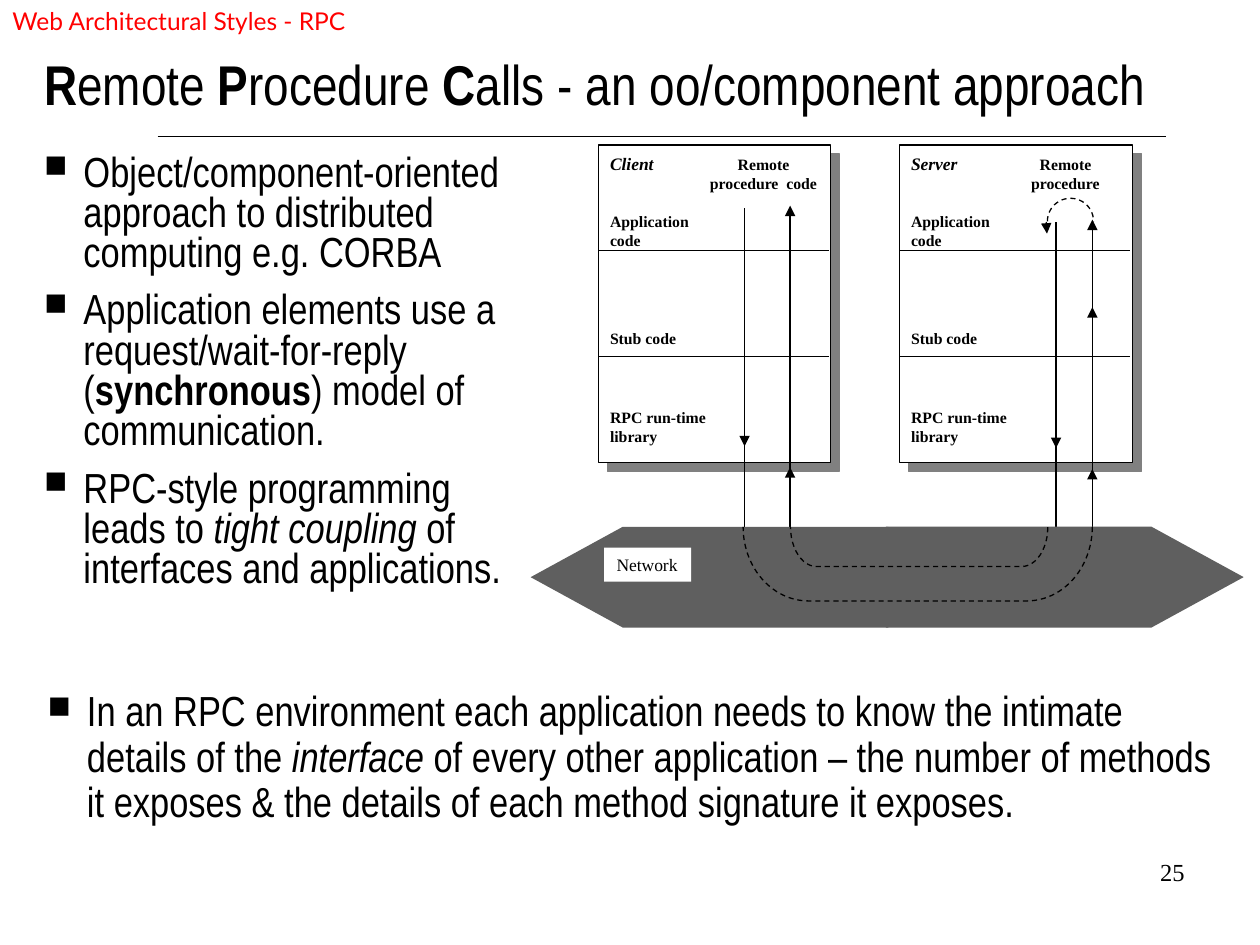
"""Build the slide on remote procedure calls between a client and a server."""
from dataclasses import dataclass

from lxml import etree
from pptx import Presentation, util as u
from pptx.dml import color
from pptx.enum import dml, shapes, text
from pptx.oxml import ns


@dataclass(frozen=True)
class Theme:
    black: str = "000000"
    white: str = "FFFFFF"
    red: str = "FF0000"
    network: str = "5F5F5F"
    shadow: str = "808080"
    sans: str = "Arial Narrow"
    serif: str = "Times New Roman"
    header: str = "Lato"
    title_size: float = 32
    body_size: float = 24
    small_size: float = 14
    name_size: float = 10
    label_size: float = 9
    line_width: float = 0.75


def add_xml(parent, tag, **values):
    return etree.SubElement(parent, ns.qn(tag), values)


class SlideBuilder:
    def __init__(self, slide, theme):
        self.slide = slide
        self.theme = theme

    def style(self, name, size, **values):
        return {"name": name, "size": u.Pt(size), **values}

    def outline(self, line, dashed=False):
        line.color.rgb = color.RGBColor.from_string(self.theme.black)
        line.width = u.Pt(self.theme.line_width)
        if dashed:
            line.dash_style = dml.MSO_LINE.DASH

    def fill_text(self, shape, paragraphs, style, ink=None, align=text.PP_ALIGN.LEFT,
                  wrap=True, inset=True, bullet=False, spacing=None):
        frame = shape.text_frame
        frame.word_wrap = wrap
        frame.vertical_anchor = text.MSO_ANCHOR.TOP
        if not inset:
            for side in ("left", "top", "right", "bottom"):
                setattr(frame, f"margin_{side}", 0)
        for index, runs in enumerate(paragraphs):
            paragraph = frame.add_paragraph() if index else frame.paragraphs[0]
            paragraph.alignment = align
            if spacing:
                paragraph.line_spacing = spacing
            if bullet:
                if index:
                    paragraph.space_before = u.Pt(9.6)
                properties = paragraph._p.get_or_add_pPr()
                properties.set("marL", str(u.Pt(22.5)))
                properties.set("indent", str(u.Pt(-22.5)))
                add_xml(properties, "a:buSzPct", val="75000")
                add_xml(properties, "a:buChar", char="■")
            for words, changes in [(runs, {})] if isinstance(runs, str) else runs:
                for row, part in enumerate(words.split("\n")):
                    if row:
                        paragraph.add_line_break()
                    if not part:
                        continue
                    run = paragraph.add_run()
                    run.text = part
                    for key, value in {**style, **changes}.items():
                        setattr(run.font, key, value)
                    run.font.color.rgb = color.RGBColor.from_string(ink or self.theme.black)

    def text_box(self, box, paragraphs, style, **options):
        shape = self.slide.shapes.add_textbox(*map(u.Pt, box))
        self.fill_text(shape, paragraphs, style, **options)

    def shape(self, kind, box, fill=None, outlined=False, dashed=False,
              rotation=0, adjustments=(), shadow=False):
        shape = self.slide.shapes.add_shape(kind, *map(u.Pt, box))
        shape.shadow.inherit = False
        shape.rotation = rotation
        for index, value in enumerate(adjustments):
            shape.adjustments[index] = value
        if fill:
            shape.fill.solid()
            shape.fill.fore_color.rgb = color.RGBColor.from_string(fill)
        else:
            shape.fill.background()
        if outlined:
            self.outline(shape.line, dashed)
        else:
            shape.line.fill.background()
        if shadow:
            effects = shape._element.spPr.find(ns.qn("a:effectLst"))
            outer = add_xml(effects, "a:outerShdw", dist=str(u.Pt(7.1)), dir="2700000",
                            algn="ctr", rotWithShape="0")
            add_xml(outer, "a:srgbClr", val=self.theme.shadow)
        return shape

    def line(self, x1, y1, x2, y2, arrow=False):
        connector = self.slide.shapes.add_connector(
            shapes.MSO_CONNECTOR.STRAIGHT, *map(u.Pt, (x1, y1, x2, y2)))
        self.outline(connector.line)
        if arrow:
            add_xml(connector.line._get_or_add_ln(), "a:tailEnd", type="triangle")
        add_xml(connector._element.spPr, "a:effectLst")

    def machine(self, left, width, name, caption, caption_left, caption_width):
        theme = self.theme
        top, layer = 82.8, 60.5
        label = self.style(theme.serif, theme.label_size, bold=True)
        self.shape(shapes.MSO_SHAPE.RECTANGLE, (left, top, width, 3 * layer),
                   theme.white, outlined=True, shadow=True)
        for row in (1, 2):
            y = top + row * layer
            self.line(left, y, left + 132, y)
        self.text_box((left - 0.5, 84.2, 57, 19.4), [name],
                      self.style(theme.serif, theme.name_size, bold=True, italic=True))
        for y, width, height, words in (
            (117.4, 62, 28.8, ["Application", "code"]),
            (184.3, 60, 18, ["Stub code"]),
            (229.7, 74, 28.8, ["RPC run-time", "library"]),
        ):
            self.text_box((left - 0.5, y, width, height), words, label, wrap=False)
        self.text_box((caption_left, 85, caption_width, 28.8), ["Remote", caption],
                      label, align=text.PP_ALIGN.CENTER, wrap=False)


def main():
    presentation = Presentation()
    presentation.slide_width, presentation.slide_height = u.Pt(720), u.Pt(540)
    theme = Theme()
    builder = SlideBuilder(presentation.slides.add_slide(presentation.slide_layouts[6]), theme)
    kinds = shapes.MSO_SHAPE
    bold, italic = {"bold": True}, {"italic": True}
    body = builder.style(theme.sans, theme.body_size)

    builder.line(90, 78, 666, 78)
    builder.text_box((534, 486, 150, 36), ["25"],
                     builder.style(theme.serif, theme.small_size), align=text.PP_ALIGN.RIGHT)
    builder.text_box((25.2, 28, 660, 54), [[
        ("R", bold), ("emote ", {}), ("P", bold), ("rocedure ", {}), ("C", bold),
        ("alls - an oo/component approach", {}),
    ]], builder.style(theme.sans, theme.title_size), inset=False)
    builder.text_box((25.2, 88.5, 312, 300), [
        "Object/component-oriented approach to distributed computing e.g. CORBA",
        [("Application elements use a request/wait-for-reply (", {}),
         ("synchronous", bold), (") model of communication.", {})],
        [("RPC-style programming\nleads to ", {}), ("tight coupling", italic),
         (" of \ninterfaces and applications.", {})],
    ], body, inset=False, bullet=True, spacing=0.8)

    builder.machine(342, 132.5, "Client", "procedure  code", 398, 76.5)
    builder.machine(514, 133.2, "Server", "procedure", 581.8, 54)

    client_down, client_up, server_down, server_up = 425.5, 451.5, 603.5, 624.2
    for x, start, end, arrow in (
        (client_down, 119, 255, True),
        (client_down, 245, 307, False),
        (server_down, 127, 256, True),
        (server_down, 246, 307, False),
        (client_up, 306, 170, False),
        (client_up, 180, 117.5, True),
        (server_up, 305, 175.5, True),
        (server_up, 185, 125.5, True),
    ):
        builder.line(x, start, x, end, arrow)

    for left, rotation in ((506.2, 0), (303.2, 180)):
        builder.shape(kinds.PENTAGON, (left, 301, 204.5, 57.6), theme.network,
                      rotation=rotation, adjustments=[0.914])
    for box, bend in (((514, 239, 22.5, 147), 0.665), ((503.3, 222.5, 42.3, 199.5), 0.884)):
        builder.shape(kinds.LEFT_BRACKET, box, outlined=True, dashed=True,
                      rotation=270, adjustments=[bend])
    for x, start, end in ((client_up, 288, 267), (server_up, 289.5, 268)):
        builder.line(x, start, x, end, arrow=True)

    builder.shape(kinds.ARC, (598.5, 113.3, 26.4, 26.4), outlined=True, dashed=True,
                  adjustments=[108, 0])
    builder.line(597.8, 127, 598.3, 133.5, arrow=True)

    network = builder.shape(kinds.RECTANGLE, (345.2, 313, 49.7, 19.4), theme.white)
    builder.fill_text(network, ["Network"], builder.style(theme.serif, theme.name_size),
                      wrap=False)

    builder.text_box((27.2, 394.6, 665, 94), [[
        ("In an RPC environment each application needs to know the intimate "
         "details of the ", {}),
        ("interface ", italic),
        ("of every other application – the number of methods it exposes & "
         "the details of each method signature it exposes.", {}),
    ]], body, inset=False, bullet=True, spacing=0.9)
    builder.text_box((0, 0, 366, 24), ["Web Architectural Styles - RPC"],
                     builder.style(theme.header, theme.small_size), ink=theme.red)
    presentation.save("out.pptx")


if __name__ == "__main__":
    main()
